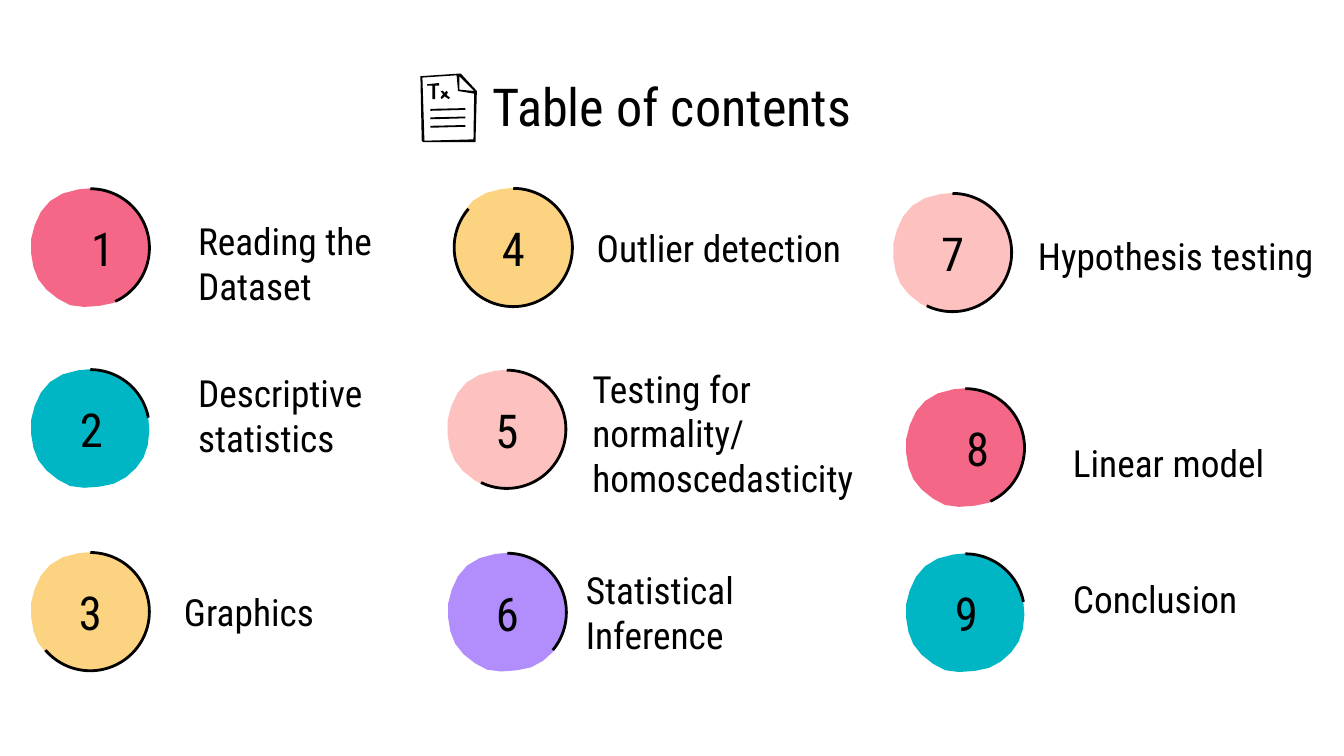
from dataclasses import dataclass

from pptx import Presentation
from pptx.dml.color import RGBColor
from pptx.enum.shapes import MSO_SHAPE
from pptx.enum.text import MSO_ANCHOR, PP_ALIGN
from pptx.util import Pt


@dataclass(frozen=True)
class Theme:
    font: str = "Roboto Condensed"
    ink: RGBColor = RGBColor(0x00, 0x00, 0x00)
    paper: RGBColor = RGBColor(0xFF, 0xFF, 0xFF)
    pink: RGBColor = RGBColor(0xF4, 0x67, 0x87)
    teal: RGBColor = RGBColor(0x00, 0xB6, 0xC5)
    yellow: RGBColor = RGBColor(0xFC, 0xD4, 0x81)
    blush: RGBColor = RGBColor(0xFD, 0xC2, 0xC0)
    violet: RGBColor = RGBColor(0xB2, 0x8E, 0xFC)
    title_size: float = 28
    number_size: float = 25
    label_size: float = 20
    arc_width: float = 1.5


THEME = Theme()


@dataclass(frozen=True)
class Entry:
    """One chapter; label_box is relative to the badge, arc_end is in degrees."""
    badge: tuple
    color: RGBColor
    arc_end: float
    label: str
    label_box: tuple
    align: PP_ALIGN = PP_ALIGN.LEFT
    number_indent: float = 0


BADGE_SIZE = 63.36
ENTRIES = [
    Entry((16.7, 100.8), THEME.pink, 65, "Reading the Dataset",
          (82.3, 17.3, 136.8, 45.4), number_indent=13),
    Entry((16.7, 197.7), THEME.teal, 349.2, "Descriptive statistics",
          (82.3, 1.9, 136.8, 45.4), number_indent=1),
    Entry((16.7, 295.7), THEME.yellow, 139.4, "Graphics",
          (74.8, 18.5, 136.8, 26.6)),
    Entry((243.3, 100.6), THEME.yellow, 220.9, "Outlier detection",
          (31.7, 18.9, 182.9, 26.6), align=PP_ALIGN.RIGHT),
    Entry((239.8, 198), THEME.blush, 115.8, "Testing for normality/ homoscedasticity",
          (70.4, -1.4, 164.9, 70.6)),
    Entry((240.1, 296.1), THEME.violet, 39.7, "Statistical Inference",
          (66.6, 13.1, 157.7, 37.4)),
    Entry((478.6, 103.3), THEME.blush, 115.8, "Hypothesis testing",
          (70.3, -1.5, 164.9, 70.6)),
    Entry((485.5, 207.9), THEME.pink, 65, "Linear model",
          (82.2, 17.1, 136.8, 45.4), number_indent=13),
    Entry((485.5, 296.4), THEME.teal, 349.2, "Conclusion",
          (82.2, 1.7, 136.8, 45.4), number_indent=1),
]

# Cubic curves of the badge, in percent of its box: two handles and an end each.
BLOB_START = (52, 0)
BLOB_CURVES = [
    ((64, 0), (75, 5), (82, 12)),
    ((90, 18), (97, 30), (99, 40)),
    ((101, 51), (100, 66), (95, 75)),
    ((90, 84), (81, 93), (70, 97)),
    ((60, 100), (43, 102), (33, 99)),
    ((23, 95), (11, 86), (6, 77)),
    ((1, 68), (-1, 55), (0, 43)),
    ((2, 32), (7, 18), (16, 11)),
    ((24, 3), (42, 0), (52, 0)),
]

# Document icon, on a grid 42 wide and 51 high.
ICON_WIDTH = 42
PAGE = [
    [(0, 2), (29, 0), (30, 0), (42, 13), (41, 51), (2, 51), (1, 50)],
    [(1.5, 3), (27, 1.3), (28, 13), (40, 15), (39.5, 49), (3, 50)],
    [(29, 2), (40, 13), (29, 12)],
]
LETTER_T = [(5, 8), (14, 7), (14, 9), (11, 9), (11, 19), (9, 19), (9, 9), (5, 9)]
LETTER_X = [(15, 13), (17, 13), (18, 14.5), (19.5, 13), (20.5, 14), (19.5, 16),
            (22, 18), (21, 19), (18, 17), (16, 19), (15, 18), (17, 15.5)]
TEXT_LINE = [(7.5, 26.3), (33.5, 25.7), (33.5, 27), (7.5, 27.7)]
TEXT_LINE_PITCH = 6.3


def curve_points(start, curves, steps=3):
    points = [start]
    for first, second, end in curves:
        origin = points[-1]
        for step in range(1, steps + 1):
            t = step / steps
            u = 1 - t
            points.append(tuple(
                u**3 * a + 3 * u**2 * t * b + 3 * u * t**2 * c + t**3 * d
                for a, b, c, d in zip(origin, first, second, end)))
    return points[:-1]


def add_outline(shapes, contours, left, top, unit, color):
    """Fill closed contours whose grid unit is given in points."""
    placed = [[(Pt(left + x * unit), Pt(top + y * unit)) for x, y in contour]
              for contour in contours]
    builder = shapes.build_freeform(*placed[0][0])
    for index, contour in enumerate(placed):
        if index:
            builder.move_to(*contour[0])
        builder.add_line_segments(contour[1:], close=True)
    outline = builder.convert_to_shape()
    outline.shadow.inherit = False
    outline.fill.solid()
    outline.fill.fore_color.rgb = color
    outline.line.fill.background()


def add_text(slide, words, box, size, align, anchor=MSO_ANCHOR.MIDDLE, indent=0):
    frame = slide.shapes.add_textbox(*map(Pt, box)).text_frame
    frame.word_wrap = True
    frame.vertical_anchor = anchor
    frame.margin_top = frame.margin_bottom = frame.margin_right = Pt(7.2)
    frame.margin_left = Pt(7.2 + indent)
    paragraph = frame.paragraphs[0]
    paragraph.text = words
    paragraph.alignment = align
    paragraph.font.name = THEME.font
    paragraph.font.size = Pt(size)
    paragraph.font.color.rgb = THEME.ink


def add_document_icon(slide, left, top, width):
    icon = slide.shapes.add_group_shape().shapes
    text_lines = [[(x, y + row * TEXT_LINE_PITCH) for x, y in TEXT_LINE]
                  for row in range(3)]
    for contours in (PAGE, [LETTER_T], [LETTER_X], *([line] for line in text_lines)):
        add_outline(icon, contours, left, top, width / ICON_WIDTH, THEME.ink)


def add_heading(slide, left, top, width, height):
    add_text(slide, "Table of contents", (left, top, width, height),
             THEME.title_size, PP_ALIGN.CENTER, MSO_ANCHOR.TOP)
    add_document_icon(slide, left + 189.2, top + 7, 30.24)


def add_entry(slide, number, entry):
    left, top = entry.badge
    add_outline(slide.shapes, [curve_points(BLOB_START, BLOB_CURVES)],
                left, top, BADGE_SIZE / 100, entry.color)

    arc = slide.shapes.add_shape(MSO_SHAPE.ARC, Pt(left), Pt(top + 0.3),
                                 Pt(BADGE_SIZE), Pt(BADGE_SIZE))
    # Arc angles count 60000 to the degree, adjustments 100000 to the unit.
    arc.adjustments[0] = 270 * 0.6
    arc.adjustments[1] = entry.arc_end * 0.6
    arc.shadow.inherit = False
    arc.fill.background()
    arc.line.color.rgb = THEME.ink
    arc.line.width = Pt(THEME.arc_width)

    add_text(slide, str(number), (left - 3.6, top + 21.6, 70.6, 20.9),
             THEME.number_size, PP_ALIGN.CENTER, indent=entry.number_indent)
    dx, dy, width, height = entry.label_box
    add_text(slide, entry.label, (left + dx, top + dy, width, height),
             THEME.label_size, entry.align)


def main():
    deck = Presentation()
    deck.slide_width, deck.slide_height = Pt(720), Pt(405)
    slide = deck.slides.add_slide(deck.slide_layouts[6])
    slide.background.fill.solid()
    slide.background.fill.fore_color.rgb = THEME.paper
    add_heading(slide, 36, 32.4, 648, 45.4)
    for number, entry in enumerate(ENTRIES, start=1):
        add_entry(slide, number, entry)
    deck.save("out.pptx")


if __name__ == "__main__":
    main()
